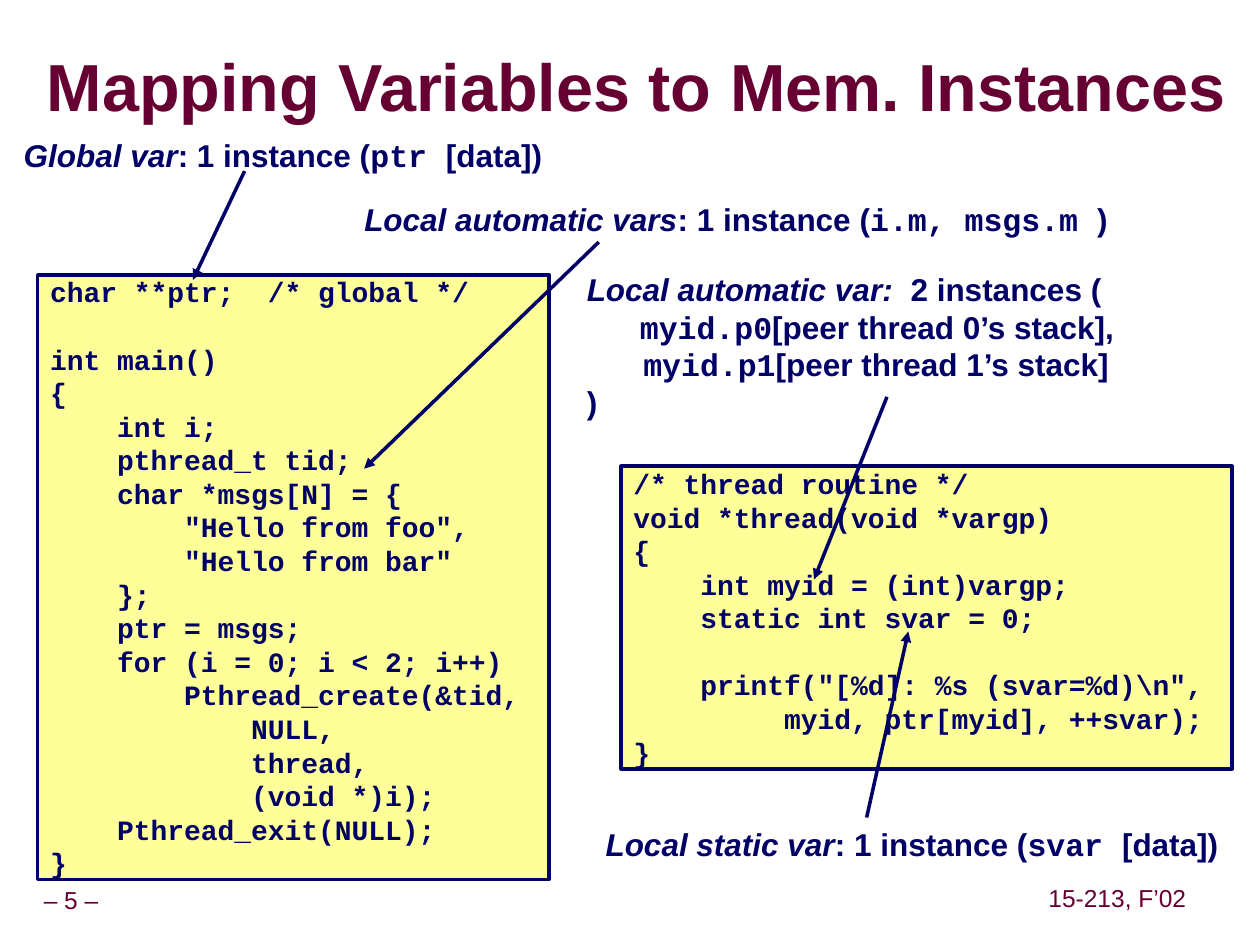
import pptx
import pptx.util
import pptx.dml.color
import pptx.enum.shapes
import pptx.enum.text
import pptx.oxml
import pptx.oxml.ns
from lxml import etree

Cm, Pt = pptx.util.Cm, pptx.util.Pt
ALIGN = pptx.enum.text.PP_ALIGN
MAROON = pptx.dml.color.RGBColor(0x66, 0x00, 0x33)
NAVY = pptx.dml.color.RGBColor(0x00, 0x00, 0x66)
YELLOW = pptx.dml.color.RGBColor(0xFF, 0xFF, 0x99)
SANS, MONO = "Arial", "Courier New"

MAIN_CODE = """char **ptr;  /* global */

int main()
{
    int i;
    pthread_t tid;
    char *msgs[N] = {
        "Hello from foo",
        "Hello from bar"
    };
    ptr = msgs;
    for (i = 0; i < 2; i++)
        Pthread_create(&tid,
            NULL,
            thread,
            (void *)i);
    Pthread_exit(NULL);
}"""

THREAD_CODE = r"""/* thread routine */
void *thread(void *vargp)
{
    int myid = (int)vargp;
    static int svar = 0;

    printf("[%d]: %s (svar=%d)\n",
         myid, ptr[myid], ++svar);
}"""


def add_run(p, text, size, color, font=SANS, bold=True, italic=False):
    r = p.add_run()
    r.text = text
    r.font.size, r.font.name = Pt(size), font
    r.font.bold, r.font.italic = bold, italic
    r.font.color.rgb = color
    return r


def set_frame(tf, side=0.25, wrap=True):
    tf.word_wrap = wrap
    tf.auto_size = pptx.enum.text.MSO_AUTO_SIZE.NONE
    tf.vertical_anchor = pptx.enum.text.MSO_ANCHOR.MIDDLE
    tf.margin_left = tf.margin_right = Cm(side)
    tf.margin_top = tf.margin_bottom = 0


def add_title(s, box, text):
    sp = s.shapes.title
    sp.left, sp.top, sp.width, sp.height = map(Cm, box)
    set_frame(sp.text_frame, side=0)
    p = sp.text_frame.paragraphs[0]
    p.alignment, p.line_spacing = ALIGN.LEFT, 0.87
    r = add_run(p, text, 38, MAROON)
    # Text shadow, placed right after the fill
    shadow = pptx.oxml.parse_xml(
        '<a:effectLst xmlns:a="http://schemas.openxmlformats.org/drawingml/2006/main">'
        '<a:outerShdw dist="45720" dir="2700000"><a:srgbClr val="969696"/>'
        '</a:outerShdw></a:effectLst>')
    r.font._element.find(pptx.oxml.ns.qn("a:solidFill")).addnext(shadow)


def add_code(s, box, code):
    sp = s.shapes.add_shape(pptx.enum.shapes.MSO_SHAPE.RECTANGLE, *map(Cm, box))
    sp.shadow.inherit = False
    sp.fill.solid()
    sp.fill.fore_color.rgb = YELLOW
    sp.line.color.rgb, sp.line.width = NAVY, Pt(2)
    tf = sp.text_frame
    set_frame(tf)
    for i, line in enumerate(code.split("\n")):
        p = tf.add_paragraph() if i else tf.paragraphs[0]
        p.alignment = ALIGN.LEFT
        p.font.size, p.font.name = Pt(16), MONO
        if line:
            add_run(p, line, 16, NAVY, MONO)


def add_arrow(s, x1, y1, x2, y2):
    line = s.shapes.add_connector(pptx.enum.shapes.MSO_CONNECTOR.STRAIGHT,
                                  Cm(x1), Cm(y1), Cm(x2), Cm(y2))
    line.line.color.rgb, line.line.width = NAVY, Pt(2)
    ln = line.line._get_or_add_ln()
    etree.SubElement(ln, pptx.oxml.ns.qn("a:tailEnd"), type="triangle")
    etree.SubElement(line._element.spPr, pptx.oxml.ns.qn("a:effectLst"))


def add_label(s, box, name, lines, start, end, align=ALIGN.CENTER):
    """Label whose arrow runs between offsets from the box corner.

    Each line is (indent, runs); each run is (text, font).
    """
    left, top = box[:2]
    tf = s.shapes.add_textbox(*map(Cm, box)).text_frame
    set_frame(tf, wrap=align == ALIGN.LEFT)
    for i, (indent, runs) in enumerate(lines):
        p = tf.add_paragraph() if i else tf.paragraphs[0]
        p.alignment = align
        if indent:
            p._p.get_or_add_pPr().set("marL", str(Cm(indent)))
        if i == 0:
            add_run(p, name, 18, NAVY, italic=True)
        for text, font in runs:
            add_run(p, text, 18, NAVY, font)
    add_arrow(s, left + start[0], top + start[1], left + end[0], top + end[1])


def add_footer(s, box, text):
    tf = s.shapes.add_textbox(*map(Cm, box)).text_frame
    set_frame(tf, side=0.13, wrap=False)
    p = tf.paragraphs[0]
    p.alignment, p.line_spacing = ALIGN.CENTER, 0.9
    add_run(p, text, 14, MAROON, bold=False)


def one_instance(variables, ending):
    return [(0, [(": 1 instance (", SANS), (variables, MONO), (ending, SANS)])]


def main():
    prs = pptx.Presentation()
    prs.slide_width, prs.slide_height = Cm(25.4), Cm(19.05)
    s = prs.slides.add_slide(prs.slide_layouts[5])

    # Footer and title
    add_footer(s, (-0.23, 17.78, 3.33, 0.79), "– 5 –")
    add_footer(s, (21, 17.75, 3.05, 0.79), "15-213, F’02")
    add_title(s, (0.94, 0.74, 24.46, 2.16), "Mapping Variables to Mem. Instances")

    # Code listings
    add_code(s, (0.76, 5.54, 10.31, 12.19), MAIN_CODE)
    add_code(s, (12.52, 9.4, 12.32, 6.1), THREAD_CODE)

    # Labels with arrows into the code
    add_label(s, (0.23, 2.74, 10.95, 0.76), "Global var",
              one_instance("ptr ", "[data])"), (4.7, 0.71), (3.66, 2.9))
    add_label(s, (11.96, 16.64, 12.85, 0.76), "Local static var",
              one_instance("svar ", "[data])"), (5.51, -0.16), (6.35, -3.91))
    add_label(s, (7.09, 4.04, 15.49, 0.76), "Local automatic vars",
              one_instance("i.m, msgs.m ", ")"), (4.98, 0.84), (0.25, 5.41))
    add_label(s, (11.58, 5.44, 11.53, 3.05), "Local automatic var:",
              [(0, [("  2 instances (", SANS)]),
               (1.07, [("myid.p0", MONO), ("[peer thread 0’s stack],", SANS)]),
               (1.14, [("myid.p1", MONO), ("[peer thread 1’s stack]", SANS)]),
               (0, [(")", SANS)])],
              (6.3, 2.56), (4.83, 6.24), ALIGN.LEFT)

    prs.save("out.pptx")


if __name__ == "__main__":
    main()
